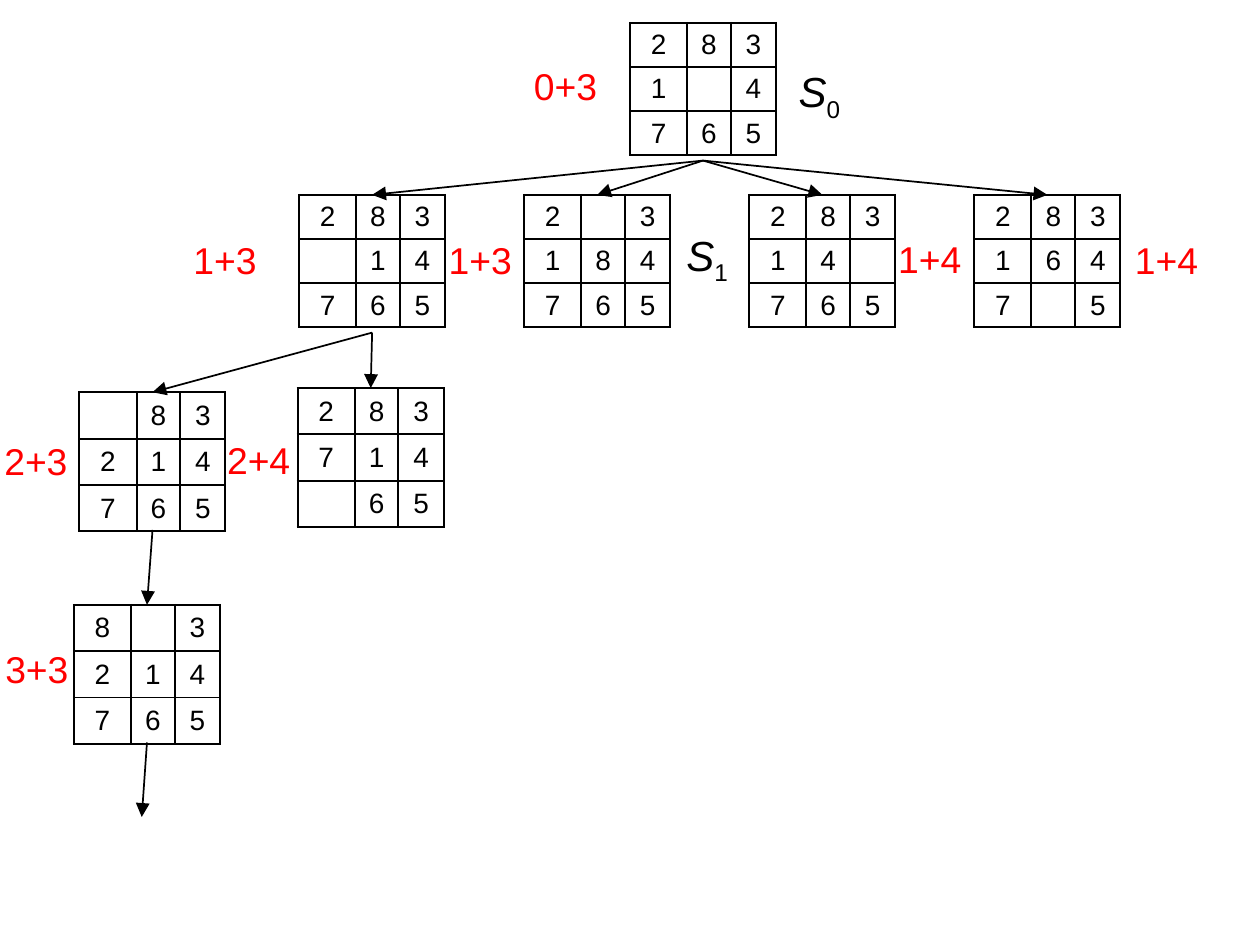
from dataclasses import dataclass

from lxml.etree import SubElement
from pptx import Presentation
from pptx.dml.color import RGBColor as RGB
from pptx.enum.shapes import MSO_CONNECTOR as CONN
from pptx.enum.text import MSO_ANCHOR as ANCHOR, PP_ALIGN as ALIGN
from pptx.oxml.ns import qn
from pptx.util import Inches, Pt


@dataclass(frozen=True)
class Theme:
    font: str = "Arial"
    ink: str = "000000"
    cost: str = "FF0000"
    digit_size: int = 12
    cost_size: int = 16
    state_size: int = 18
    border: float = 1
    arrow: float = 0.75


UNIT = 0.1
COLUMNS = (3.4, 2.6, 2.7)
BOARD_W, BOARD_H = sum(COLUMNS), 8.2
TIGHT_ROW, TALL_ROW = 7.88 / 3, 8.28 / 3


def grid(n):
    return Inches(n * UNIT)


def add_run(p, text, font, size, color, italic=False, baseline=0):
    r = p.add_run()
    r.text = text
    r.font.name, r.font.size = font, Pt(size)
    r.font.italic = italic
    r.font.color.rgb = RGB.from_string(color)
    if baseline:
        r.font._element.set("baseline", str(baseline * 1000))


class Tree:
    """Draws puzzle boards, labels and arrows on a grid of 0.1 inch units."""

    def __init__(self, slide, theme):
        self.shapes, self.theme = slide.shapes, theme

    def border(self, cell):
        tc_pr = cell._tc.get_or_add_tcPr()
        for side in ("lnL", "lnR", "lnT", "lnB"):
            ln = SubElement(tc_pr, qn(f"a:{side}"), w=str(Pt(self.theme.border)))
            fill = SubElement(ln, qn("a:solidFill"))
            SubElement(fill, qn("a:srgbClr"), val=self.theme.ink)

    def board(self, x, y, digits, row_h=TIGHT_ROW):
        t = self.theme
        table = self.shapes.add_table(3, 3, grid(x), grid(y), grid(BOARD_W), grid(3 * row_h)).table
        table.first_row = table.horz_banding = False
        for col, width in zip(table.columns, COLUMNS):
            col.width = grid(width)
        for row in table.rows:
            row.height = grid(row_h)
        for cell, digit in zip(table.iter_cells(), digits):
            self.border(cell)
            cell.fill.background()
            cell.margin_left = cell.margin_right = Inches(0.07)
            cell.margin_top = cell.margin_bottom = Inches(0.03)
            cell.vertical_anchor = ANCHOR.MIDDLE
            p = cell.text_frame.paragraphs[0]
            p.alignment = ALIGN.CENTER
            if digit == " ":
                SubElement(p._p, qn("a:endParaRPr"), sz=str(t.digit_size * 100))
            else:
                add_run(p, digit, t.font, t.digit_size, t.ink)
        middle = x + BOARD_W / 2
        return (middle, y), (middle, y + BOARD_H)

    def box(self, x, y, w, h):
        tf = self.shapes.add_textbox(grid(x), grid(y), grid(w), grid(h)).text_frame
        tf.word_wrap = True
        return tf.paragraphs[0]

    def cost(self, x, y, text, w=8.1):
        t = self.theme
        add_run(self.box(x, y, w, 3.7), text, t.font, t.cost_size, t.cost)

    def state(self, x, y, index):
        t = self.theme
        p = self.box(x, y, 5.5, 4)
        add_run(p, "S", t.font, t.state_size, t.ink, italic=True)
        add_run(p, index, t.font, t.state_size, t.ink, baseline=-25)

    def arrow(self, start, end):
        line = self.shapes.add_connector(CONN.STRAIGHT, *map(grid, start + end))
        line.line.color.rgb = RGB.from_string(self.theme.ink)
        line.line.width = Pt(self.theme.arrow)
        SubElement(line.line._get_or_add_ln(), qn("a:tailEnd"), type="triangle")
        SubElement(line._element.spPr, qn("a:effectLst"))


def main():
    prs = Presentation()
    prs.slide_width = Inches(7.5)
    prs.slide_height = prs.slide_width * 3 // 4
    tree = Tree(prs.slides.add_slide(prs.slide_layouts[6]), Theme())

    _, root = tree.board(37.5, 1.36, "2831 4765")
    moves = ("283 14765", "2 3184765", "28314 765", "2831647 5")
    level_one = [tree.board(17.8 + 13.4 * i, 11.6, digits) for i, digits in enumerate(moves)]
    for top, _ in level_one:
        tree.arrow(root, top)

    up, up_end = tree.board(4.73, 23.35, " 83214765", TALL_ROW)
    down, _ = tree.board(17.72, 23.1, "283714 65", TALL_ROW)
    for top in (up, down):
        tree.arrow(level_one[0][1], top)

    right, right_end = tree.board(4.4, 36, "8 3214765", TALL_ROW)
    tree.arrow(up_end, right)
    tree.arrow(right_end, (8.44, 48.63))

    tree.cost(30.8, 3.3, "0+3", w=8.3)
    tree.cost(10.53, 13.65, "1+3")
    tree.cost(25.72, 13.64, "1+3")
    tree.cost(52.48, 13.6, "1+4")
    tree.cost(66.57, 13.65, "1+4")
    tree.cost(-0.73, 25.6, "2+3")
    tree.cost(12.53, 25.53, "2+4", w=6.8)
    tree.cost(-0.67, 38, "3+3")
    tree.state(46.55, 3.42, "0")
    tree.state(39.87, 13.17, "1")

    prs.save("out.pptx")


if __name__ == "__main__":
    main()
